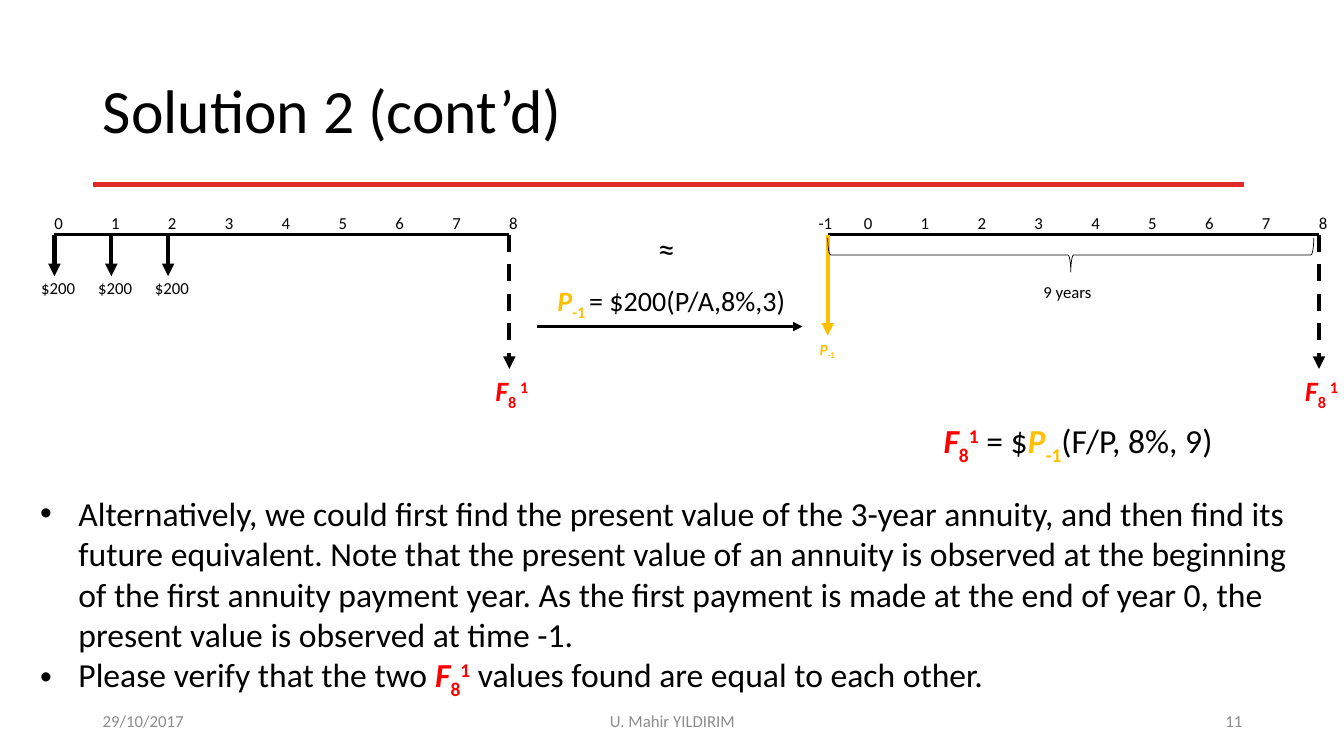
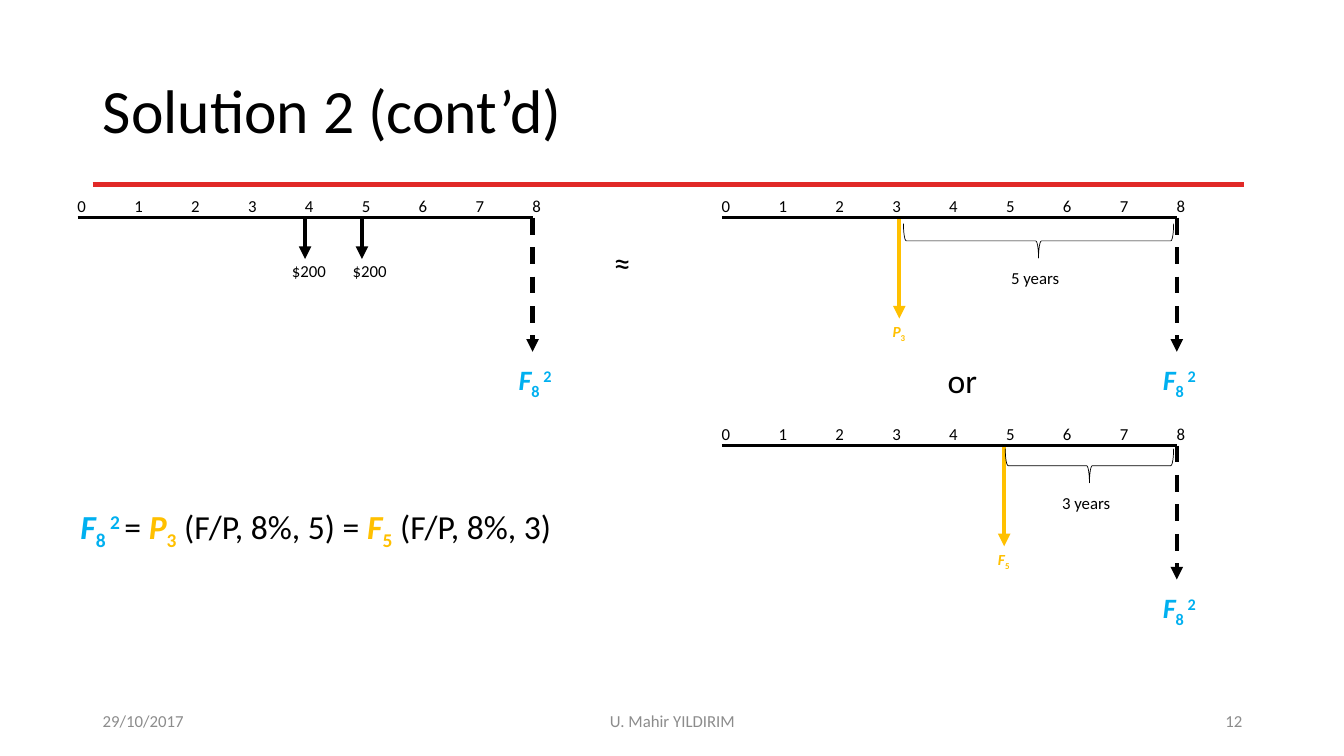
from typing import NamedTuple

from lxml.etree import SubElement
from pptx import Presentation
from pptx.dml.color import RGBColor
from pptx.enum.dml import MSO_LINE
from pptx.enum.shapes import MSO_CONNECTOR, MSO_SHAPE
from pptx.enum.text import MSO_ANCHOR, PP_ALIGN
from pptx.oxml.ns import qn
from pptx.util import Inches, Pt

COLORS = {
    "text": "000000",
    "rule": "E12927",
    "footer": "8C8C8C",
    "first_value": "FF0000",
    "second_value": "00B0F0",
    "lump": "FFC000",
}
FONT = "Calibri"
YEARS = 8
YEAR_WIDTH = 0.564
SPAN = YEARS * YEAR_WIDTH
SUB, SUP = -25, 30


class Part(NamedTuple):
    """One stretch of text with its own look."""

    text: str
    color: str = "text"
    bold: bool = False
    italic: bool = False
    shift: int = 0


def symbol(letter, color, sub, sup=""):
    """Return the parts of a bold variable with its indices."""
    parts = [Part(letter, color, True, True), Part(sub, color, True, shift=SUB)]
    return parts + [Part(sup, color, True, shift=SUP)] if sup else parts


def rgb(name):
    """Look up a named colour."""
    return RGBColor.from_string(COLORS[name])


def style_font(font, size, color):
    """Set family, size and colour of a font."""
    font.name = FONT
    font.size = Pt(size)
    font.color.rgb = rgb(color)


def fill_paragraph(paragraph, parts, size):
    """Write the parts as formatted runs."""
    for part in parts:
        run = paragraph.add_run()
        run.text = part.text
        style_font(run.font, size, part.color)
        run.font.bold = part.bold
        run.font.italic = part.italic
        if part.shift:
            run.font._element.set("baseline", str(part.shift * 1000))


def add_text(slide, box, parts, size=12, align=PP_ALIGN.LEFT, wrap=True):
    """Place one paragraph of text and return its frame."""
    frame = slide.shapes.add_textbox(*map(Inches, box)).text_frame
    frame.word_wrap = wrap
    paragraph = frame.paragraphs[0]
    paragraph.alignment = align
    fill_paragraph(paragraph, parts, size)
    return frame


def add_line(slide, start, end, color="text", width=3, arrow=False, dashed=False):
    """Draw a straight line, optionally dashed or with an arrowhead."""
    line = slide.shapes.add_connector(MSO_CONNECTOR.STRAIGHT, *map(Inches, start + end))
    line.line.color.rgb = rgb(color)
    line.line.width = Pt(width)
    if dashed:
        line.line.dash_style = MSO_LINE.DASH
    properties = line._element.spPr
    if arrow:
        SubElement(properties.find(qn("a:ln")), qn("a:tailEnd"), type="triangle")
    SubElement(properties, qn("a:effectLst"))
    return line


def add_rule_to_layout(layout, slide):
    """Put the rule under the title on the layout, by way of a slide."""
    rule = add_line(slide, (0.92, 1.83), (12.34, 1.83), "rule")
    layout.shapes.element.append(rule._element)


def add_frame(deck, number):
    """Add a slide with its title and footers."""
    slide = deck.slides.add_slide(deck.slide_layouts.get_by_name("Title Only"))
    title = slide.shapes.title
    title.left, title.top, title.width, title.height = map(Inches, (0.92, 0.4, 11.5, 1.45))
    title.text_frame.text = "Solution 2 (cont’d)"
    title.text_frame.vertical_anchor = MSO_ANCHOR.MIDDLE
    heading = title.text_frame.paragraphs[0]
    heading.alignment = PP_ALIGN.LEFT
    heading.line_spacing = 0.9
    style_font(heading.runs[0].font, 44, "text")

    footers = [
        (0.92, 3, "29/10/2017", PP_ALIGN.LEFT),
        (4.42, 4.5, "U. Mahir YILDIRIM", PP_ALIGN.CENTER),
        (9.42, 3, str(number), PP_ALIGN.RIGHT),
    ]
    for left, width, text, align in footers:
        footer = add_text(slide, (left, 6.95, width, 0.4), [Part(text, "footer")], align=align)
        footer.vertical_anchor = MSO_ANCHOR.MIDDLE
    return slide


def add_timeline(slide, left, top, future, future_drop, lead=0):
    """Draw the axis for years 0 to 8 and the future value at its end."""
    end = left + SPAN
    add_line(slide, (left - lead, top), (end, top), width=2.25)
    for year in range(YEARS + 1):
        tick = left + year * YEAR_WIDTH
        add_text(slide, (tick - 0.1, top - 0.27, 0.2, 0.3), [Part(str(year))])
    add_line(slide, (end, top), (end, top + 1.33), arrow=True, dashed=True)
    add_text(slide, (end - 0.48, top + future_drop, 1.01, 0.44), future, 20, PP_ALIGN.CENTER)


def add_payments(slide, left, top, nudges):
    """Draw a payment at each year, its label moved by the nudge."""
    for year, nudge in nudges.items():
        x = left + year * YEAR_WIDTH
        add_line(slide, (x, top), (x, top + 0.41), arrow=True)
        add_text(slide, (x - 0.23 + nudge, top + 0.38, 1.01, 0.3), [Part("$200")])


def add_lump(slide, x, top, name):
    """Draw the single equivalent amount below the axis."""
    add_line(slide, (x, top), (x, top + 1), "lump", arrow=True)
    add_text(slide, (x - 0.35, top + 0.99, 0.69, 0.29), name, 11, PP_ALIGN.CENTER)


def add_duration(slide, left, top, width, text):
    """Draw a brace that opens upwards and label its length."""
    depth = 0.34
    center = left + width / 2
    box = (center - depth / 2, top + (depth - width) / 2, depth, width)
    brace = slide.shapes.add_shape(MSO_SHAPE.RIGHT_BRACE, *map(Inches, box))
    brace.rotation = 90
    brace.shadow.inherit = False
    brace.fill.background()
    brace.line.color.rgb = rgb("text")
    brace.line.width = Pt(0.5)
    add_text(slide, (center - 0.37, top + 0.39, 0.76, 0.3), [Part(text)])


def add_bullets(slide, box, points, size):
    """Write a bulleted list with hanging indents."""
    frame = add_text(slide, box, [], size)
    for index, parts in enumerate(points):
        paragraph = frame.add_paragraph() if index else frame.paragraphs[0]
        properties = paragraph._p.get_or_add_pPr()
        properties.set("marL", str(Inches(0.38)))
        properties.set("indent", str(-Inches(0.38)))
        SubElement(properties, qn("a:buFont"), typeface="Arial")
        SubElement(properties, qn("a:buChar"), char="•")
        fill_paragraph(paragraph, parts, size)


def build_first_annuity(slide):
    """Fill the slide on the three payments from year 0."""
    top, left, right = 2.33, 0.54, 8.57
    future = symbol("F", "first_value", "8 ", "1")
    future_tight = symbol("F", "first_value", "8", "1")
    present = symbol("P", "lump", "-1")

    add_timeline(slide, left, top, future, 1.33)
    add_payments(slide, left, top, {0: 0, 1: 0, 2: 0})
    add_text(slide, (6.43, 2.21, 0.37, 0.5), [Part("≈")], 24, wrap=False)
    add_text(slide, (5.43, 2.76, 2.53, 0.44),
             symbol("P", "lump", "-1 ") + [Part("= $200(P/A,8%,3)")], 20, wrap=False)
    add_line(slide, (5.33, 3.24), (7.96, 3.24), width=2.25, arrow=True)

    add_timeline(slide, right, top, future, 1.33, lead=0.36)
    add_text(slide, (8.02, top - 0.27, 0.36, 0.3), [Part("-1")])
    add_lump(slide, right - 0.36, top, present)
    add_duration(slide, 8.21, 2.36, 4.82, "9 years")
    add_text(slide, (9.26, 4.12, 3.61, 0.5),
             future_tight + [Part(" = $")] + present + [Part("(F/P, 8%, 9)")], 24)

    add_bullets(slide, (0.3, 4.84, 12.57, 2.12), [
        [Part("Alternatively, we could first find the present value of the 3-year annuity, "
              "and then find its future equivalent. Note that the present value of an annuity "
              "is observed at the beginning of the first annuity payment year. As the first "
              "payment is made at the end of year 0, the present value is observed at time -1.")],
        [Part("Please verify that the two ")] + future_tight
        + [Part(" values found are equal to each other.")],
    ], 24)


def build_second_annuity(slide):
    """Fill the slide on the two payments from year 4."""
    top, lower, left, right = 2.16, 4.42, 0.77, 7.16
    future = symbol("F", "second_value", "8 ", "2")
    at_three = symbol("P", "lump", "3")
    at_five = symbol("F", "lump", "5")

    add_timeline(slide, left, top, future, 1.39)
    add_payments(slide, left, top, {4: 0, 5: 0.04})
    add_text(slide, (5.99, 2.35, 0.37, 0.5), [Part("≈")], 24, wrap=False)
    add_text(slide, (0.7, 4.97, 5.66, 0.5),
             symbol("F", "second_value", "8 ", "2 ") + [Part("= ")] + at_three
             + [Part(" (F/P, 8%, 5) = ")] + at_five + [Part(" (F/P, 8%, 3)")], 24)

    add_lump(slide, 8.92, top, at_three)
    add_timeline(slide, right, top, future, 1.39)
    add_duration(slide, 8.96, 2.22, 2.68, "5 years")
    add_text(slide, (9.3, 3.52, 0.5, 0.5), [Part("or")], 24, wrap=False)

    add_lump(slide, 9.96, lower, at_five)
    add_timeline(slide, right, lower, future, 1.39)
    add_duration(slide, 9.97, 4.45, 1.67, "3 years")


def main():
    """Build and save the deck."""
    deck = Presentation()
    deck.slide_width, deck.slide_height = Inches(13.33), Inches(7.5)
    first, second = (add_frame(deck, number) for number in (11, 12))
    add_rule_to_layout(first.slide_layout, first)
    build_first_annuity(first)
    build_second_annuity(second)
    deck.save("out.pptx")


if __name__ == "__main__":
    main()
